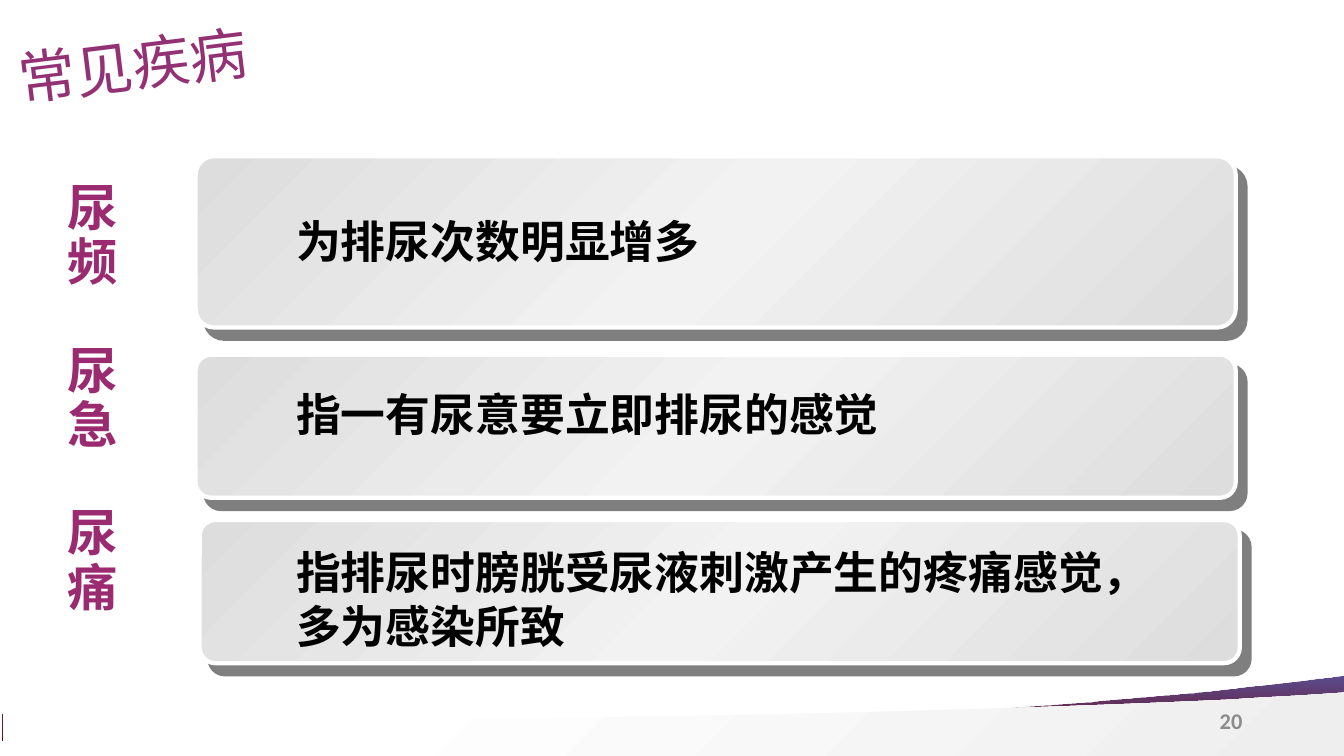
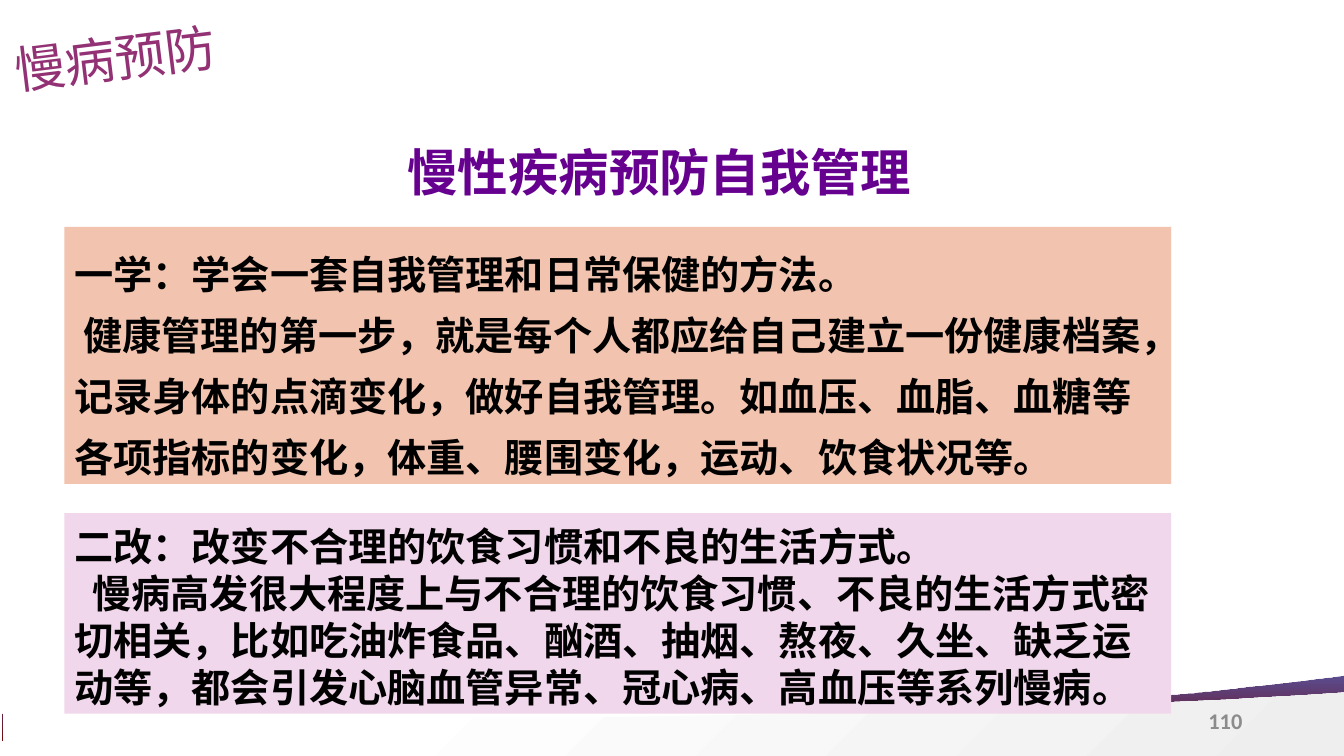
from lxml.etree import SubElement
from pptx import Presentation
from pptx.dml.color import RGBColor
from pptx.enum.shapes import MSO_SHAPE as Preset
from pptx.enum.text import MSO_ANCHOR as Anchor, PP_ALIGN as Align
from pptx.oxml.ns import qn
from pptx.util import Pt

# Colours and fonts
BLACK = RGBColor(0x00, 0x00, 0x00)
WHITE = RGBColor(0xFF, 0xFF, 0xFF)
GREY = RGBColor(0x8C, 0x8C, 0x8C)
PLUM = RGBColor(0x93, 0x31, 0x75)
MAGENTA = RGBColor(0x9B, 0x2B, 0x70)
VIOLET = RGBColor(0x66, 0x00, 0x8F)
PEACH = RGBColor(0xF2, 0xC4, 0xAF)
PINK = RGBColor(0xF1, 0xD7, 0xEC)
DARK_RED = RGBColor(0x72, 0x08, 0x08)
INDIGO = RGBColor(0x34, 0x22, 0x75)
PALE = RGBColor(0xEE, 0xEE, 0xEE)
SILVER = RGBColor(0xDD, 0xDD, 0xDD)
LIGHT = RGBColor(0xF2, 0xF2, 0xF2)

CJK_SC = "Noto Sans CJK SC"
CJK_JP = "Noto Sans CJK JP"

# Text styles: font attributes, then the colour
TITLE = ({"name": CJK_SC, "bold": False}, PLUM)
LABEL = ({"name": CJK_SC, "size": Pt(36), "bold": True}, MAGENTA)
HEADING = ({"name": CJK_SC, "size": Pt(36), "bold": True}, VIOLET)
CARD_TEXT = ({"name": CJK_JP, "size": Pt(32), "bold": True}, BLACK)
PANEL_TEXT = ({"name": CJK_JP, "size": Pt(28), "bold": True}, BLACK)
PAGE_NUMBER = ({"name": "Calibri", "size": Pt(16), "bold": True}, GREY)

# Footer bands: start point, then line ends (x, y) or curves of three points
PURPLE_BAND = [
    (962, 482.4), (962, 529.2), (2, 529.2), (2, 509.8), (3, 509.8),
    ((219, 533.5), (592, 517), (808, 499)),
    ((851, 495.4), (900, 490.3), (951, 483.8)),
]
PALE_BAND = [
    (962, 494.6), (962, 540), (2, 540), (2, 506.2), (34, 507.6),
    ((284, 519.1), (657, 509.8), (880, 499.7)),
    ((899, 498.2), (919, 497.5), (940, 496.1)),
]


def add_color(parent, color, alpha=100):
    element = SubElement(parent, qn("a:srgbClr"), val=str(color))
    if alpha < 100:
        SubElement(element, qn("a:alpha"), val=str(alpha * 1000))


def fill_gradient(shape, stops, angle):
    """Fill with (position, colour, opacity) stops; the angle runs clockwise."""
    shape.fill.gradient()
    gradient = shape.element.spPr.find(qn("a:gradFill"))
    for child in list(gradient):
        gradient.remove(child)
    stop_list = SubElement(gradient, qn("a:gsLst"))
    for position, color, alpha in stops:
        stop = SubElement(stop_list, qn("a:gs"), pos=str(position * 1000))
        add_color(stop, color, alpha)
    SubElement(gradient, qn("a:lin"), ang=str(angle * 60000), scaled="0")


def curve_points(start, first, second, end, steps=24):
    """Points along a cubic curve, without its start."""
    for step in range(1, steps + 1):
        t = step / steps
        weights = ((1 - t) ** 3, 3 * t * (1 - t) ** 2, 3 * t * t * (1 - t), t ** 3)
        corners = (start, first, second, end)
        yield tuple(sum(w * corner[axis] for w, corner in zip(weights, corners))
                    for axis in (0, 1))


def add_band(slide, outline, stops, angle):
    points = [outline[0]]
    for part in outline[1:]:
        if len(part) == 3:
            points.extend(curve_points(points[-1], *part))
        else:
            points.append(part)
    (start, *rest) = [(Pt(x), Pt(y)) for x, y in points]
    builder = slide.shapes.build_freeform(*start, scale=1.0)
    builder.add_line_segments(rest, close=True)
    band = builder.convert_to_shape()
    band.shadow.inherit = False
    band.line.fill.background()
    fill_gradient(band, stops, angle)


def set_font(font, style):
    attributes, color = style
    for name, value in attributes.items():
        setattr(font, name, value)
    font.color.rgb = color


def write_text(shape, lines, style, line_height=None, gap=0, indent=0,
               align=Align.LEFT, anchor=Anchor.TOP, top_inset=3.6):
    """Write one paragraph a line; gap and indent apply after the first."""
    frame = shape.text_frame
    frame.word_wrap = True
    frame.vertical_anchor = anchor
    frame.margin_top = Pt(top_inset)
    for index, line in enumerate(lines):
        paragraph = frame.paragraphs[0] if index == 0 else frame.add_paragraph()
        paragraph.alignment = align
        if line_height:
            paragraph.line_spacing = Pt(line_height)
        if index and gap:
            paragraph.space_before = Pt(gap)
        if index and indent:
            properties = paragraph._p.get_or_add_pPr()
            properties.set("marL", "0")
            properties.set("indent", str(Pt(indent)))
        run = paragraph.add_run()
        run.text = line
        set_font(run.font, style)
        SubElement(run.font._element, qn("a:ea"), typeface=style[0]["name"])


def add_text(slide, box, lines, style, **layout):
    shape = slide.shapes.add_textbox(*map(Pt, box))
    write_text(shape, lines, style, **layout)
    return shape


def add_title(slide, text, box, size):
    attributes, color = TITLE
    style = ({**attributes, "size": Pt(size)}, color)
    title = add_text(slide, box, [text], style, line_height=size * 1.22)
    title.rotation = 352.9


def add_card(slide, left, top, height):
    """Silver rounded card with a hard shadow."""
    card = slide.shapes.add_shape(Preset.ROUNDED_RECTANGLE, Pt(left), Pt(top), Pt(743), Pt(height))
    card.adjustments[0] = 0.11
    fill_gradient(card, [(0, SILVER, 100), (50, LIGHT, 100), (100, SILVER, 100)], 45)
    card.line.color.rgb = WHITE
    card.line.width = Pt(3)
    card.shadow.inherit = False
    effects = card.element.spPr.find(qn("a:effectLst"))
    shadow = SubElement(effects, qn("a:outerShdw"), blurRad="0", dist=str(Pt(10.6)),
                        dir=str(49 * 60000), algn="ctr", rotWithShape="0")
    add_color(shadow, BLACK, 50)


def add_panel(slide, top, height, color, lines, line_height, indent):
    panel = slide.shapes.add_shape(Preset.RECTANGLE, Pt(46), Pt(top), Pt(790.6), Pt(height))
    panel.shadow.inherit = False
    panel.fill.solid()
    panel.fill.fore_color.rgb = color
    panel.line.fill.background()
    write_text(panel, lines, PANEL_TEXT, line_height=line_height, indent=indent, top_inset=6.5)


def add_base_slide(presentation, number):
    """Blank slide with the footer bands and the page number."""
    slide = presentation.slides.add_slide(presentation.slide_layouts[6])
    add_band(slide, PURPLE_BAND, [(0, DARK_RED, 100), (100, INDIGO, 80)], 270)
    add_band(slide, PALE_BAND, [(26, WHITE, 100), (100, PALE, 100)], 45)
    add_text(slide, (678, 500.4, 216.5, 28.8), [number], PAGE_NUMBER,
             align=Align.RIGHT, anchor=Anchor.MIDDLE)
    return slide


def add_symptoms_slide(presentation):
    slide = add_base_slide(presentation, "20")
    add_text(slide, (41, 126.5, 75.6, 280), ["尿频", "尿急", "尿痛"], LABEL,
             line_height=38.8, gap=38.8)

    # Cards: left, top, height, top of the text, text lines
    cards = [
        (139.7, 111.6, 122.4, 149.8, ["为排尿次数明显增多"]),
        (139.7, 253.4, 102.2, 273.4, ["指一有尿意要立即排尿的感觉"]),
        (142.6, 371.5, 102.2, 386.2, ["指排尿时膀胱受尿液刺激产生的疼痛感觉，", "多为感染所致"]),
    ]
    for left, top, height, text_top, lines in cards:
        add_card(slide, left, top, height)
        add_text(slide, (204.5, text_top, 640, 38 * len(lines) + 7.2), lines,
                 CARD_TEXT, line_height=38)
    add_title(slide, "常见疾病", (5.8, 16.4, 183.6, 57), 41)


def add_prevention_slide(presentation):
    slide = add_base_slide(presentation, "110")
    add_title(slide, "慢病预防", (2.9, 12, 206.6, 51), 36)
    add_text(slide, (282, 75.5, 378, 72.7), ["慢性疾病预防自我管理"], HEADING,
             line_height=65, align=Align.CENTER)
    add_panel(slide, 162, 183.6, PEACH, [
        "一学：学会一套自我管理和日常保健的方法。",
        "健康管理的第一步，就是每个人都应给自己建立一份健康档案，记录身体的点滴变化，"
        "做好自我管理。如血压、血脂、血糖等各项指标的变化，体重、腰围变化，运动、饮食状况等。",
    ], line_height=43.6, indent=6.5)
    add_panel(slide, 366.5, 143.3, PINK, [
        "二改：改变不合理的饮食习惯和不良的生活方式。",
        "慢病高发很大程度上与不合理的饮食习惯、不良的生活方式密切相关，比如吃油炸食品、"
        "酗酒、抽烟、熬夜、久坐、缺乏运动等，都会引发心脑血管异常、冠心病、高血压等系列慢病。",
    ], line_height=33.6, indent=13)


def main():
    presentation = Presentation()
    presentation.slide_width = Pt(960)
    presentation.slide_height = Pt(540)
    add_symptoms_slide(presentation)
    add_prevention_slide(presentation)
    presentation.save("out.pptx")


if __name__ == "__main__":
    main()
